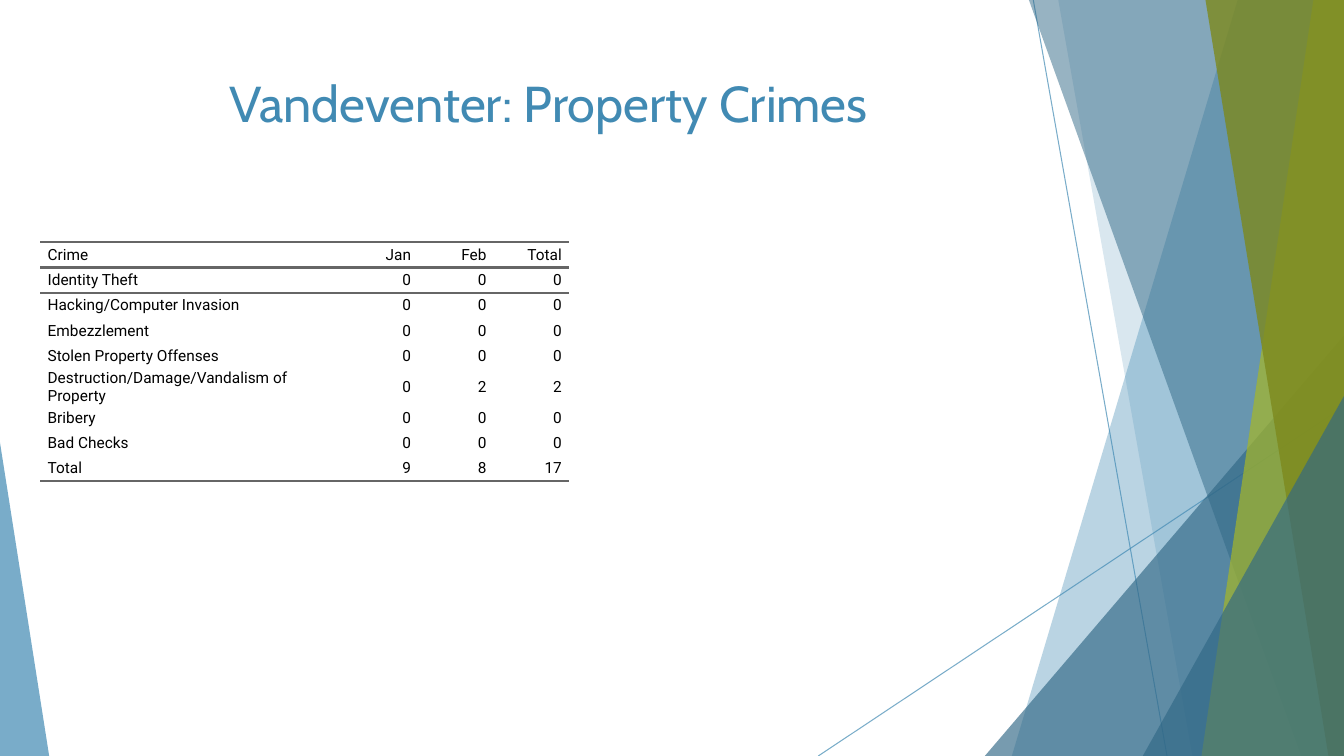
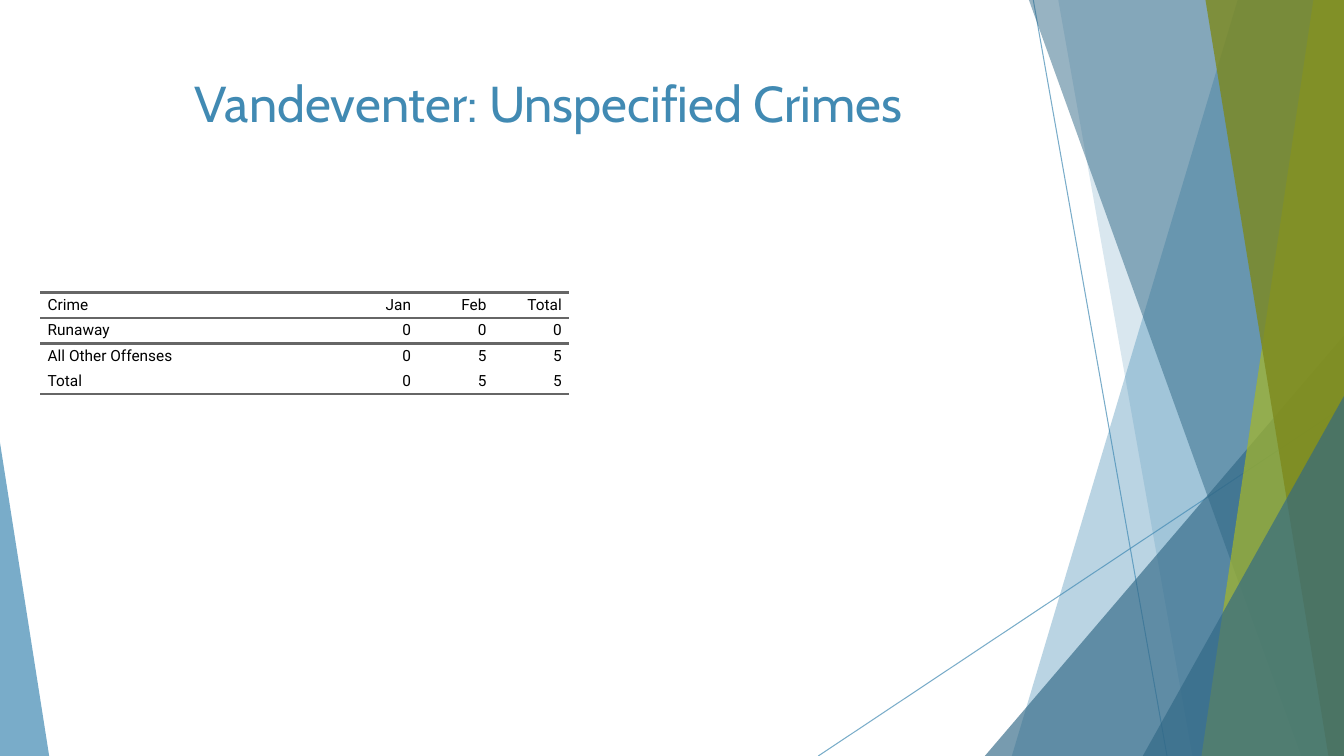
import pptx
import pptx.dml.color
import pptx.enum.shapes
import pptx.enum.text
import pptx.oxml.ns
import pptx.util
from lxml import etree

Cm, Pt = pptx.util.Cm, pptx.util.Pt
ALIGN = pptx.enum.text.PP_ALIGN
ANCHOR = pptx.enum.text.MSO_ANCHOR
SHAPE = pptx.enum.shapes.MSO_SHAPE
LINK = pptx.enum.shapes.MSO_CONNECTOR

WIDE, HIGH = 33.87, 19.05
COLORS = {
    "blue": "418AB3",
    "navy": "316886",
    "lime": "A6B727",
    "olive": "7D891D",
    "rule": "666666",
    "text": "000000",
}
PLAIN = "{2D5ABB26-0587-4C30-8999-92F81FD0307C}"  # table style without grid
COLS = (7.62, 1.9, 1.9, 1.9)
ROW = 0.64
HEAD = ("Crime", "Jan", "Feb", "Total")

# Title, top of the table, rows of crime, January and February
PAGES = [
    ("Vandeventer: Property Crimes", 6.1, [
        ("Identity Theft", 0, 0),
        ("Hacking/Computer Invasion", 0, 0),
        ("Embezzlement", 0, 0),
        ("Stolen Property Offenses", 0, 0),
        ("Destruction/Damage/Vandalism of Property", 0, 2),
        ("Bribery", 0, 0),
        ("Bad Checks", 0, 0),
        ("Total", 9, 8),
    ]),
    ("Vandeventer: Unspecified Crimes", 7.37, [
        ("Runaway", 0, 0),
        ("All Other Offenses", 0, 5),
        ("Total", 0, 5),
    ]),
]


def color(name):
    return pptx.dml.color.RGBColor.from_string(COLORS[name])


def add_node(parent, tag, **attrs):
    return etree.SubElement(parent, pptx.oxml.ns.qn(tag), **attrs)


def fade(shape, opacity):
    """Set the opacity, in percent, of a shape's fill or line colour."""
    tint = shape.element.xpath("./p:spPr//a:solidFill/a:srgbClr")[0]
    add_node(tint, "a:alpha", val=str(opacity * 1000))


def paint(shape, name, opacity):
    shape.shadow.inherit = False
    shape.fill.solid()
    shape.fill.fore_color.rgb = color(name)
    shape.line.fill.background()
    fade(shape, opacity)


def add_line(group, start, end):
    points = [Cm(n) for n in start + end]
    line = group.shapes.add_connector(LINK.STRAIGHT, *points)
    line.line.color.rgb = color("blue")
    line.line.width = Pt(0.75)
    fade(line, 70)
    add_node(line.element.spPr, "a:effectLst")


def add_band(group, top, base, name, opacity):
    """Fill from a slanted left edge to the right side of the slide."""
    pen = group.shapes.build_freeform(Cm(top), 0)
    corners = [(WIDE, 0), (WIDE, HIGH), (base, HIGH)]
    pen.add_line_segments([(Cm(x), Cm(y)) for x, y in corners])
    paint(pen.convert_to_shape(), name, opacity)


def add_wedge(group, left, top, width, peak, name, opacity):
    """Stand a triangle on the slide's foot; peak is 0 (left) or 1 (right)."""
    box = [Cm(n) for n in (left, top, width, HIGH - top)]
    wedge = group.shapes.add_shape(SHAPE.ISOSCELES_TRIANGLE, *box)
    wedge.adjustments[0] = peak
    paint(wedge, name, opacity)


def add_decor(slide, layout):
    """Draw the facets as a group and move it to the back of the layout."""
    group = slide.shapes.add_group_shape()
    add_line(group, (26.04, 0), (29.41, HIGH))
    add_line(group, (WIDE, 10.24), (20.62, HIGH))
    add_band(group, 31.19, 25.5, "blue", 36)
    add_band(group, 26.67, 30.05, "blue", 20)
    add_wedge(group, 24.82, 8.46, WIDE - 24.82, 1, "navy", 66)
    add_band(group, 25.93, 32.79, "navy", 50)
    add_band(group, 33.1, 30.28, "lime", 70)
    add_band(group, 30.38, 33.48, "olive", 80)
    add_wedge(group, 28.8, 9.98, WIDE - 28.8, 1, "navy", 66)
    add_wedge(group, 0, 11.15, 1.24, 0, "blue", 70)
    for number, node in enumerate(group.element.xpath(".//p:cNvPr"), 100):
        node.set("id", str(number))
    layout.shapes.element.insert(2, group.element)


def set_title(layout):
    title = layout.placeholders[0]
    title.left, title.top = Cm(1.88), Cm(1.7)
    title.width, title.height = Cm(23.88), Cm(3.66)
    title.text_frame.vertical_anchor = ANCHOR.TOP


def add_text(frame, text, font, size, name, align):
    part = frame.paragraphs[0]
    part.alignment = align
    run = part.add_run()
    run.text = text
    run.font.name = font
    run.font.size = Pt(size)
    run.font.color.rgb = color(name)


def add_rule(cell, tag):
    props = cell._tc.get_or_add_tcPr()
    line = add_node(props, tag, w=str(Pt(2)))
    fill = add_node(line, "a:solidFill")
    add_node(fill, "a:srgbClr", val=COLORS["rule"])


def fill_cell(cell, text, align, rules):
    cell.margin_left = cell.margin_right = Cm(0.18)
    cell.margin_top = cell.margin_bottom = 0
    cell.vertical_anchor = ANCHOR.MIDDLE
    for tag in rules:
        add_rule(cell, tag)
    cell.fill.background()
    add_text(cell.text_frame, text, "Roboto", 11, "text", align)


def add_grid(slide, top, crimes):
    rows = [HEAD] + [(crime, jan, feb, jan + feb) for crime, jan, feb in crimes]
    frame = slide.shapes.add_table(
        len(rows), len(COLS), Cm(1.02), Cm(top),
        Cm(sum(COLS)), Cm(ROW * len(rows)))
    frame.element.xpath(".//a:tableStyleId")[0].text = PLAIN
    table = frame.table
    table.first_row = table.horz_banding = False
    for col, width in zip(table.columns, COLS):
        col.width = Cm(width)
    rules = {0: ("a:lnT", "a:lnB"), 1: ("a:lnT",), len(rows) - 1: ("a:lnB",)}
    for r, row in enumerate(rows):
        for c, value in enumerate(row):
            align = ALIGN.RIGHT if c else ALIGN.LEFT
            fill_cell(table.cell(r, c), str(value), align, rules.get(r, ()))


def add_page(deck, layout, title, top, crimes):
    slide = deck.slides.add_slide(layout)
    frame = slide.shapes.title.text_frame
    add_text(frame, title, "Cabin", 36, "blue", ALIGN.CENTER)
    add_grid(slide, top, crimes)
    return slide


def main():
    deck = pptx.Presentation()
    deck.slide_width, deck.slide_height = Cm(WIDE), Cm(HIGH)
    layout = deck.slide_layouts.get_by_name("Title Only")
    set_title(layout)
    slides = [add_page(deck, layout, *page) for page in PAGES]
    add_decor(slides[0], layout)
    deck.save("out.pptx")


if __name__ == "__main__":
    main()
